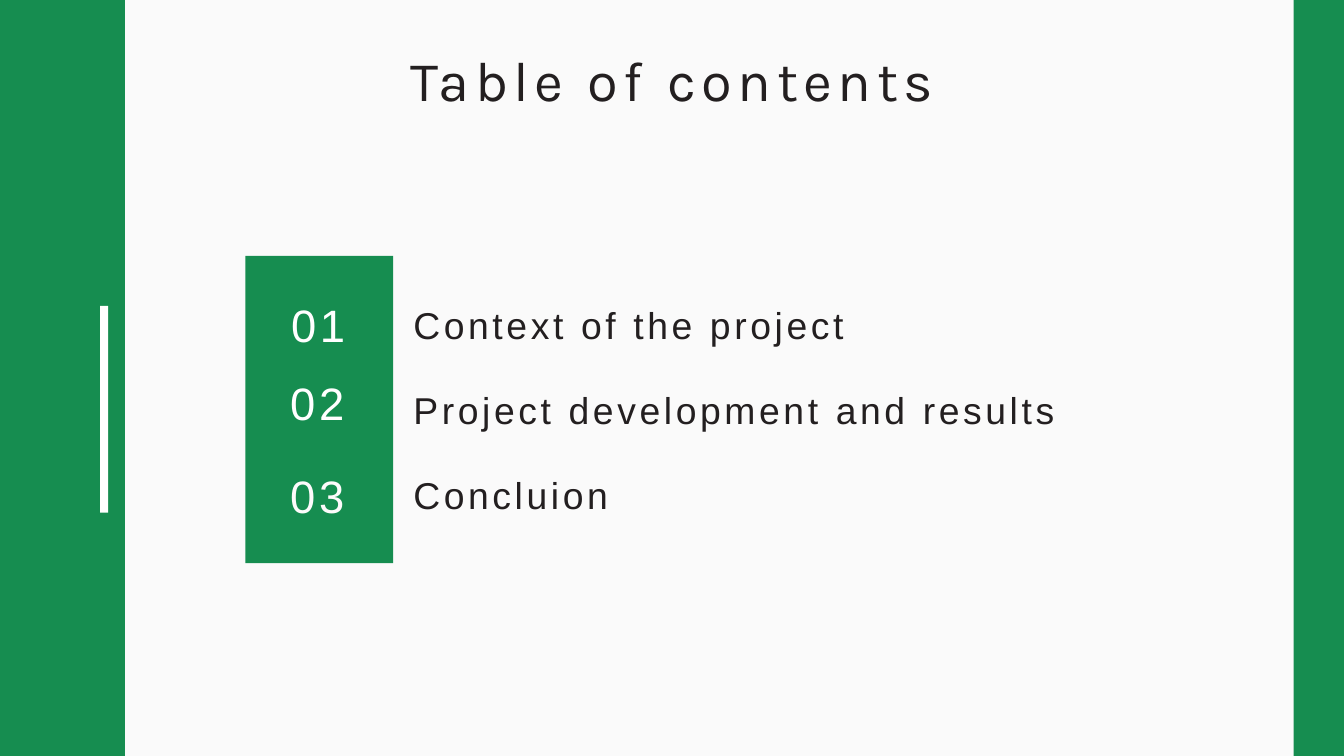
from dataclasses import dataclass

from pptx import Presentation
from pptx.dml.color import RGBColor
from pptx.enum.shapes import MSO_SHAPE as SHAPE
from pptx.enum.text import PP_ALIGN as ALIGN
from pptx.slide import Slide
from pptx.util import Inches, Pt

GREEN, WHITE, INK, PAPER = "168D50", "FFFFFF", "231F20", "FAFAFA"


@dataclass
class Box:
    left: float
    top: float
    width: float
    height: float


@dataclass
class Style:
    font: str
    size: float
    line: float
    tracking: float
    color: str
    align: ALIGN


@dataclass
class Entry:
    number: str
    title: str
    number_box: Box
    number_color: str = WHITE


TITLE = Style("Karla", 60, 82.8, 5.9, INK, ALIGN.CENTER)
NUMBER = Style("Arial", 48.6, 58.3, 4, WHITE, ALIGN.CENTER)
ITEM = Style("Arial", 40, 55.2, 3.9, INK, ALIGN.LEFT)

BARS = [
    (Box(-1.52, -0.44, 3.38, 12.36), GREEN),
    (Box(19.25, -2.11, 12.98, 13.85), GREEN),
    (Box(1.49, 4.55, 0.12, 3.08), WHITE),
    (Box(3.65, 3.81, 2.2, 4.57), GREEN),
]
ENTRIES = [
    Entry("01", "Context of the project", Box(4.15, 4.42, 1.17, 0.81)),
    Entry("02", "Project development and results", Box(3.98, 5.58, 1.48, 0.81)),
    Entry("03", "Concluion", Box(3.98, 6.97, 1.48, 0.81), "FDFBFB"),
]
ITEM_TOP, ITEM_STEP = 4.4, 1.26


def rgb(value: str) -> RGBColor:
    return RGBColor.from_string(value)


def place(box: Box) -> list:
    return [Inches(v) for v in (box.left, box.top, box.width, box.height)]


def add_bar(s: Slide, box: Box, color: str) -> None:
    sp = s.shapes.add_shape(SHAPE.RECTANGLE, *place(box))
    sp.shadow.inherit = False
    sp.fill.solid()
    sp.fill.fore_color.rgb = rgb(color)
    sp.line.fill.background()


def add_text(s: Slide, box: Box, text: str, style: Style, color: str = "") -> None:
    tf = s.shapes.add_textbox(*place(box)).text_frame
    tf.margin_left = tf.margin_right = tf.margin_top = tf.margin_bottom = 0
    tf.word_wrap = True
    tf.text = text
    p = tf.paragraphs[0]
    p.alignment = style.align
    p.line_spacing = Pt(style.line)
    r = p.runs[0]
    r.font.name = style.font
    r.font.size = Pt(style.size)
    r.font.color.rgb = rgb(color or style.color)
    r.font._element.set("spc", str(round(style.tracking * 100)))


def main() -> None:
    prs = Presentation()
    prs.slide_width, prs.slide_height = Inches(20), Inches(11.25)
    s = prs.slides.add_slide(prs.slide_layouts[6])
    s.background.fill.solid()
    s.background.fill.fore_color.rgb = rgb(PAPER)

    for box, color in BARS:
        add_bar(s, box, color)
    add_text(s, Box(5.54, 0.52, 8.92, 1.1), "Table of contents", TITLE)
    for i, entry in enumerate(ENTRIES):
        add_text(s, entry.number_box, entry.number, NUMBER, entry.number_color)
        item_box = Box(6.15, ITEM_TOP + i * ITEM_STEP, 11.32, 0.73)
        add_text(s, item_box, entry.title, ITEM)

    prs.save("out.pptx")


if __name__ == "__main__":
    main()
